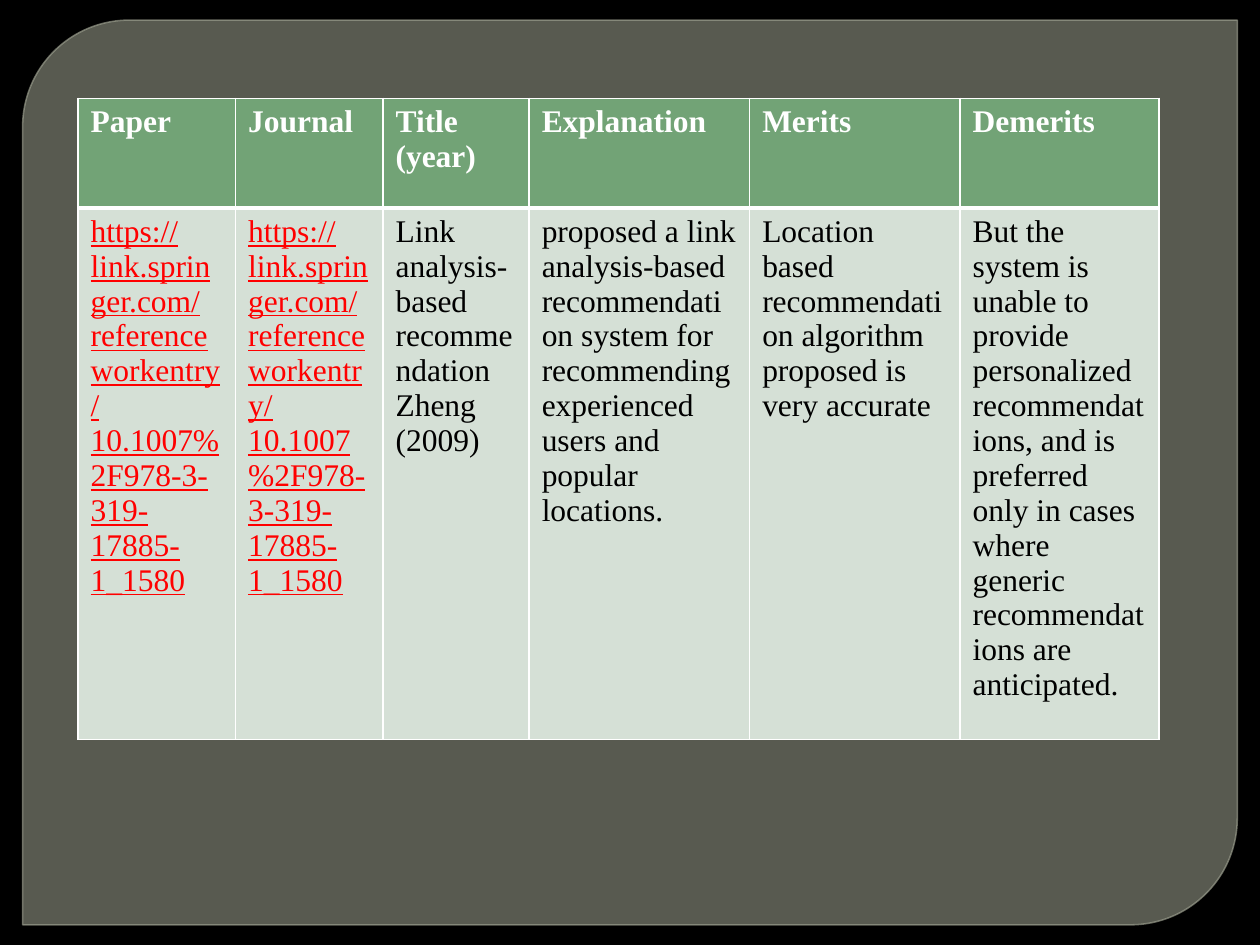
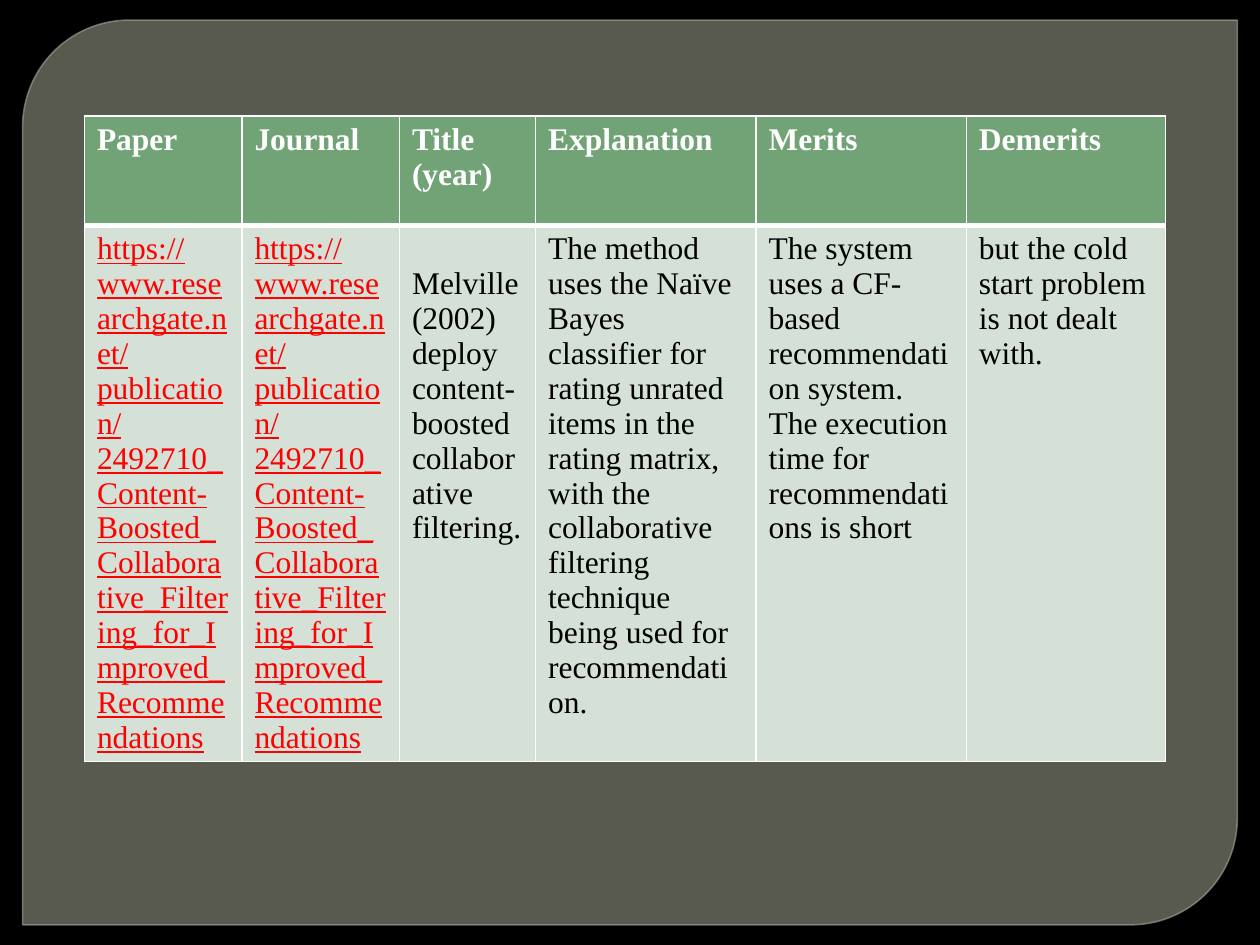
from dataclasses import dataclass

from lxml import etree
from pptx import Presentation
from pptx.dml.color import RGBColor
from pptx.enum.shapes import MSO_SHAPE
from pptx.oxml.ns import qn
from pptx.util import Inches, Pt

PANEL_SHAPE = MSO_SHAPE.ROUND_2_DIAG_RECTANGLE
BLANK_LAYOUT = 6


@dataclass(frozen=True)
class Theme:
    font: str = "Times New Roman"
    text_size: float = 18
    backdrop: str = "000000"
    panel: str = "888B7B"
    panel_edge: str = "9DA090"
    header_fill: str = "72A376"
    body_fill: str = "D5E0D6"
    header_text: str = "FFFFFF"
    body_text: str = "000000"
    url_text: str = "FF0000"
    border: str = "FFFFFF"
    thin_border: float = 1
    header_rule: float = 3


THEME = Theme()
HEADINGS = ["Paper", "Journal", "Title (year)", "Explanation", "Merits", "Demerits"]
ROW_HEIGHTS = [0.87, 4.22]
URL_COLUMNS = 2

SPRINGER_URL = ("https://link.springer.com/referenceworkentry/"
                "10.1007%2F978-3-319-17885-1_1580")
RESEARCHGATE_URL = ("https://www.researchgate.net/publication/2492710_Content-Boosted_"
                    "Collaborative_Filtering_for_Improved_Recommendations")

REVIEWS = [
    {
        "origin": (0.62, 0.78),
        "column_widths": [1.25, 1.17, 1.16, 1.75, 1.67, 1.58],
        "findings": [
            SPRINGER_URL,
            SPRINGER_URL,
            "Link analysis-based recommendation Zheng (2009)",
            "proposed a link analysis-based recommendation system for recommending "
            "experienced users and popular locations.",
            "Location based recommendation algorithm proposed is very accurate",
            "But the system is unable to provide personalized recommendations, and is "
            "preferred only in cases where generic recommendations are anticipated.",
        ],
    },
    {
        "origin": (0.67, 0.92),
        "column_widths": [1.25, 1.25, 1.08, 1.75, 1.67, 1.58],
        "findings": [
            RESEARCHGATE_URL,
            RESEARCHGATE_URL,
            " Melville (2002) deploy content-boosted collaborative filtering.",
            "The method uses the Naïve Bayes classifier for rating unrated items in the "
            "rating matrix, with the collaborative filtering technique being used for "
            "recommendation.",
            "The system uses a CF-based recommendation system. The execution time for "
            "recommendations is short",
            "but the cold start problem is not dealt with.",
        ],
    },
]


def rgb(value):
    return RGBColor.from_string(value)


def paint(fill, color, opacity=100):
    """Fill solidly; opacity is a percentage."""
    fill.solid()
    fill.fore_color.rgb = rgb(color)
    if opacity < 100:
        for color_element in fill._xPr.iter(qn("a:srgbClr")):
            alpha = etree.SubElement(color_element, qn("a:alpha"))
            alpha.set("val", str(opacity * 1000))


def add_panel(slide):
    panel = slide.shapes.add_shape(
        PANEL_SHAPE, Inches(0.18), Inches(0.16), Inches(9.64), Inches(7.18))
    panel.shadow.inherit = False
    panel.adjustments[0] = 0.118
    panel.adjustments[1] = 0
    panel.line.width = Pt(0.87)
    paint(panel.line.fill, THEME.panel_edge, 88)
    paint(panel.fill, THEME.panel, 65)


def set_borders(cell, top, bottom):
    """Draw all four cell borders; top and bottom are widths in points."""
    widths = {"L": THEME.thin_border, "R": THEME.thin_border, "T": top, "B": bottom}
    properties = cell._tc.get_or_add_tcPr()
    for position, (side, width) in enumerate(widths.items()):
        border = etree.Element(qn(f"a:ln{side}"), w=str(Pt(width)))
        solid = etree.SubElement(border, qn("a:solidFill"))
        etree.SubElement(solid, qn("a:srgbClr"), val=THEME.border)
        properties.insert(position, border)


def write_cell(cell, text, fill, color, **emphasis):
    paint(cell.fill, fill)
    cell.text = text
    font = cell.text_frame.paragraphs[0].runs[0].font
    font.color.rgb = rgb(color)
    font_format = {"name": THEME.font, "size": Pt(THEME.text_size), "bold": False}
    for attribute, value in (font_format | emphasis).items():
        setattr(font, attribute, value)


def add_review_table(slide, origin, column_widths, findings):
    left, top = origin
    review = slide.shapes.add_table(
        len(ROW_HEIGHTS), len(HEADINGS), Inches(left), Inches(top),
        Inches(sum(column_widths)), Inches(sum(ROW_HEIGHTS))).table
    review.horz_banding = False
    for row, height in zip(review.rows, ROW_HEIGHTS):
        row.height = Inches(height)

    for index, (width, heading, finding) in enumerate(
            zip(column_widths, HEADINGS, findings)):
        review.columns[index].width = Inches(width)
        header, body = review.cell(0, index), review.cell(1, index)
        write_cell(header, heading, THEME.header_fill, THEME.header_text, bold=True)
        set_borders(header, THEME.thin_border, THEME.header_rule)
        is_url = index < URL_COLUMNS
        write_cell(body, finding, THEME.body_fill,
                   THEME.url_text if is_url else THEME.body_text, underline=is_url)
        set_borders(body, THEME.header_rule, THEME.thin_border)


def main():
    prs = Presentation()
    prs.slide_width, prs.slide_height = Inches(10), Inches(7.5)
    paint(prs.slide_master.background.fill, THEME.backdrop)
    for review in REVIEWS:
        slide = prs.slides.add_slide(prs.slide_layouts[BLANK_LAYOUT])
        add_panel(slide)
        add_review_table(slide, **review)
    prs.save("out.pptx")


if __name__ == "__main__":
    main()
